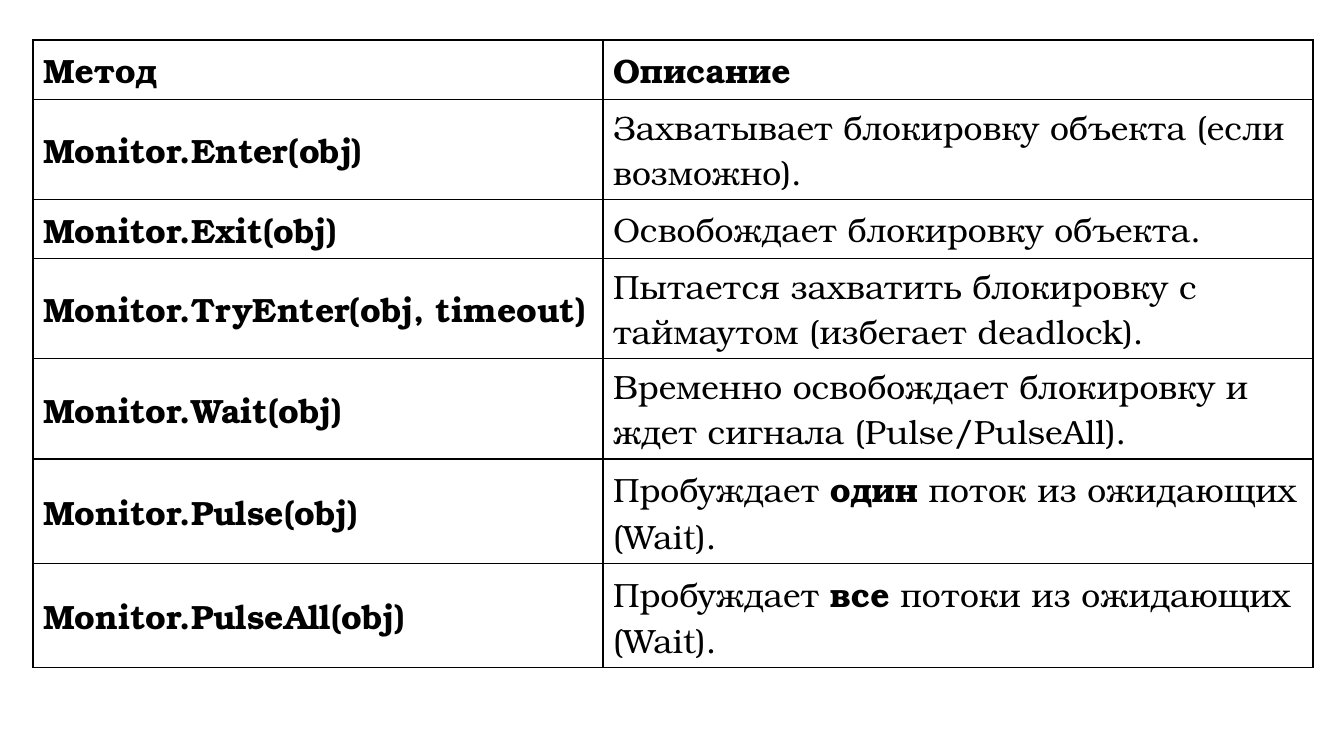
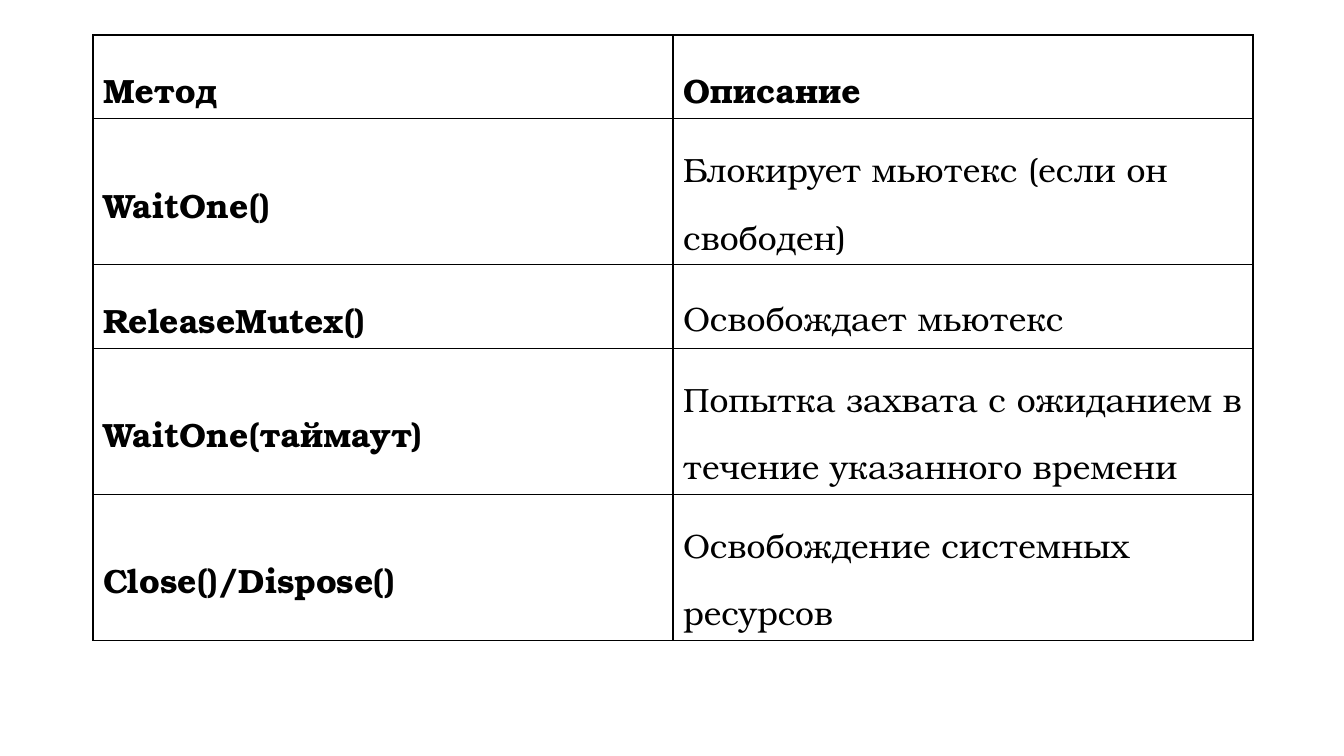
from lxml import etree
from pptx import Presentation
from pptx.dml.color import RGBColor
from pptx.enum import text
from pptx.oxml import ns
from pptx.util import Emu, Inches, Pt

PX = Inches(1) / 100.8
BLACK = RGBColor(0x00, 0x00, 0x00)
WHITE = RGBColor(0xFF, 0xFF, 0xFF)
FONT = "TeX Gyre Bonum"
FONT_SIZE = Pt(24)
BORDER_WIDTH = Pt(1)
BOLD_MARK = "**"
HEADER = ("Метод", "Описание")

MONITOR_METHODS = [
    ("Monitor.Enter(obj)", "Захватывает блокировку объекта (если возможно)."),
    ("Monitor.Exit(obj)", "Освобождает блокировку объекта."),
    ("Monitor.TryEnter(obj, timeout)", "Пытается захватить блокировку с таймаутом (избегает deadlock)."),
    ("Monitor.Wait(obj)", "Временно освобождает блокировку и ждет сигнала (Pulse/PulseAll)."),
    ("Monitor.Pulse(obj)", "Пробуждает **один** поток из ожидающих (Wait)."),
    ("Monitor.PulseAll(obj)", "Пробуждает **все** потоки из ожидающих (Wait)."),
]
MUTEX_METHODS = [
    ("WaitOne()", "Блокирует мьютекс (если он свободен)"),
    ("ReleaseMutex()", "Освобождает мьютекс"),
    ("WaitOne(таймаут)", "Попытка захвата с ожиданием в течение указанного времени"),
    ("Close()/Dispose()", "Освобождение системных ресурсов"),
]


def px(length):
    return Emu(round(length * PX))


def set_borders(cell):
    properties = cell._tc.get_or_add_tcPr()
    for index, side in enumerate(("lnL", "lnR", "lnT", "lnB")):
        line = etree.Element(ns.qn(f"a:{side}"), w=str(BORDER_WIDTH))
        fill = etree.SubElement(line, ns.qn("a:solidFill"))
        etree.SubElement(fill, ns.qn("a:srgbClr"), val=str(BLACK))
        properties.insert(index, line)


def format_cell(cell, content, bold, line_spacing):
    cell.fill.solid()
    cell.fill.fore_color.rgb = WHITE
    cell.vertical_anchor = text.MSO_ANCHOR.MIDDLE
    set_borders(cell)
    paragraph = cell.text_frame.paragraphs[0]
    paragraph.line_spacing = line_spacing
    font = paragraph.font
    font.name, font.size, font.bold = FONT, FONT_SIZE, bold
    font.color.rgb = BLACK
    for index, part in enumerate(content.split(BOLD_MARK)):
        run = paragraph.add_run()
        run.text = part
        if index % 2:
            run.font.bold = True


def add_method_table(slide, left, top, column_widths, row_heights, methods, line_spacing=None):
    rows = [HEADER, *methods]
    frame = slide.shapes.add_table(
        len(rows), len(HEADER), px(left), px(top), px(sum(column_widths)), px(sum(row_heights))
    )
    table = frame.table
    table.horz_banding = False
    for column, width in zip(table.columns, column_widths):
        column.width = px(width)
    for row, height in zip(table.rows, row_heights):
        row.height = px(height)
    for row_index, contents in enumerate(rows):
        for column_index, content in enumerate(contents):
            bold = row_index == 0 or column_index == 0
            format_cell(table.cell(row_index, column_index), content, bold, line_spacing)


def main():
    presentation = Presentation()
    presentation.slide_width = px(1344)
    presentation.slide_height = px(756)
    blank = presentation.slide_layouts[6]
    add_method_table(
        presentation.slides.add_slide(blank), 33, 40, (570, 710),
        (59, 100, 59, 100, 100, 104, 104), MONITOR_METHODS,
    )
    add_method_table(
        presentation.slides.add_slide(blank), 93, 35, (580, 580),
        (83, 146, 83, 146, 146), MUTEX_METHODS, line_spacing=1.5,
    )
    presentation.save("out.pptx")


if __name__ == "__main__":
    main()
